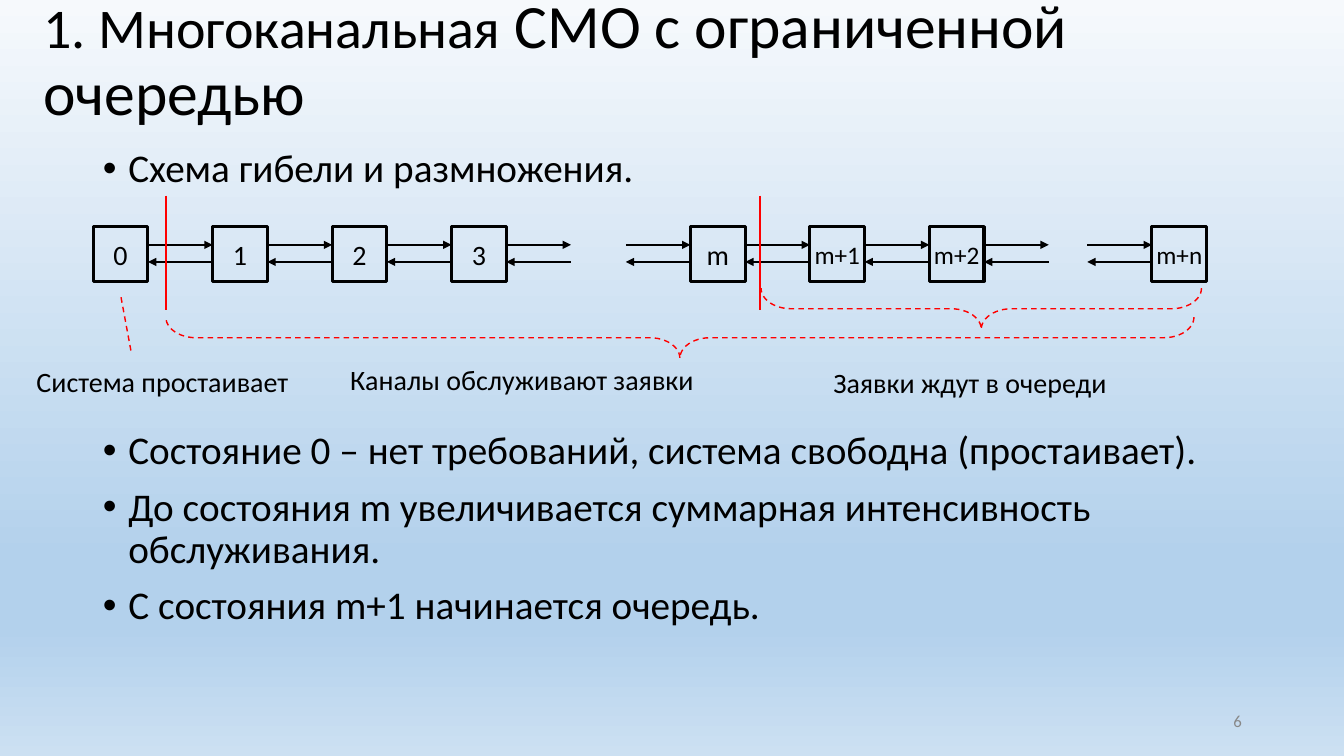
from lxml import etree
from pptx import Presentation
from pptx.dml.color import RGBColor
from pptx.enum import dml, shapes, text
from pptx.oxml.ns import qn
from pptx.util import Cm, Pt

COLORS = {"ink": "000000", "mark": "FF0000", "number": "888888"}
SKY = [(0, "F6F9FC"), (74, "B3D1EC"), (83, "B3D1EC"), (100, "CCE0F2")]
FONT = "Calibri"

# Lengths in centimetres
SIDE, STEP, FIRST, LAST = 1.38, 3.01, 2.35, 29.03
BOX_TOP, BIRTH_Y, DEATH_Y = 5.71, 6.17, 6.6
BRACE_DEPTH = 1.04
STATES = ["0", "1", "2", "3", "m", "m+1", "m+2", "m+n"]
LEFTS = [FIRST + STEP * slot for slot in (0, 1, 2, 3, 5, 6, 7)] + [LAST]

BULLETS = [
    ("Схема гибели и размножения.", 0),
    ("Состояние 0 – нет требований, система свободна (простаивает).", 171),
    ("До состояния m увеличивается суммарная интенсивность обслуживания.", 10),
    ("С состояния m+1 начинается очередь.", 10),
]
CAPTIONS = [
    ("Система простаивает", 0.35, 9.04, 7.49),
    ("Каналы обслуживают заявки", 8.43, 8.99, 9.45),
    ("Заявки ждут в очереди", 20.7, 9.07, 7.49),
]


def color(name):
    return RGBColor.from_string(COLORS[name])


def apply(target, formats):
    for name, value in formats.items():
        setattr(target, name, value)


def place(shape, left, top, width, height):
    apply(shape, {"left": Cm(left), "top": Cm(top),
                  "width": Cm(width), "height": Cm(height)})


def add_span(para, words, size, ink="ink"):
    span = para.add_run()
    span.text = words
    apply(span.font, {"name": FONT, "size": Pt(size)})
    span.font.color.rgb = color(ink)


def style_line(shape, ink, width, dashed=False):
    shape.line.color.rgb = color(ink)
    shape.line.width = Pt(width)
    if dashed:
        shape.line.dash_style = dml.MSO_LINE.DASH


def paint_background(page):
    fill = page.background.fill
    fill.gradient()
    fill.gradient_angle = 270
    stops = page.background._cSld.find(".//" + qn("a:gsLst"))
    for stop in list(stops):
        stops.remove(stop)
    for percent, shade in SKY:
        stop = etree.SubElement(stops, qn("a:gs"), pos=str(percent * 1000))
        etree.SubElement(stop, qn("a:srgbClr"), val=shade)


def fill_title(title):
    place(title, 0.84, -0.28, 33.22, 3.68)
    apply(title.text_frame, {"word_wrap": True, "auto_size": text.MSO_AUTO_SIZE.NONE,
                             "vertical_anchor": text.MSO_ANCHOR.MIDDLE})
    para = title.text_frame.paragraphs[0]
    apply(para, {"alignment": text.PP_ALIGN.LEFT, "line_spacing": 0.9})
    add_span(para, "1. Многоканальная", 40)
    add_span(para, " СМО с ограниченной очередью", 44)


def fill_body(body):
    """Fill the list, leaving room for the diagram under its first item."""
    place(body, 2.34, 3.63, 29.21, 14.05)
    frame = body.text_frame
    frame.auto_size = text.MSO_AUTO_SIZE.NONE
    for index, (words, gap) in enumerate(BULLETS):
        para = frame.add_paragraph() if index else frame.paragraphs[0]
        props = para._p.get_or_add_pPr()
        props.set("marL", str(Cm(0.64)))
        props.set("indent", str(-Cm(0.64)))
        etree.SubElement(props, qn("a:buFont"), typeface="Arial")
        etree.SubElement(props, qn("a:buChar"), char="•")
        apply(para, {"line_spacing": 0.9, "space_before": Pt(gap)})
        add_span(para, words, 28)


def add_label(page, words, left, top, width, height, size=20,
              align=text.PP_ALIGN.CENTER, ink="ink"):
    box = page.shapes.add_textbox(Cm(left), Cm(top), Cm(width), Cm(height))
    apply(box.text_frame, {"word_wrap": True, "vertical_anchor": text.MSO_ANCHOR.MIDDLE})
    para = box.text_frame.paragraphs[0]
    para.alignment = align
    add_span(para, words, size, ink)


def add_outline(page, kind, left, top, width, height):
    shape = page.shapes.add_shape(kind, Cm(left), Cm(top), Cm(width), Cm(height))
    shape.shadow.inherit = False
    shape.fill.background()
    return shape


def add_state(page, name, left):
    box = add_outline(page, shapes.MSO_SHAPE.RECTANGLE, left, BOX_TOP, SIDE, SIDE)
    style_line(box, "ink", 2.25)
    apply(box.text_frame, {"margin_left": 0, "margin_right": 0, "word_wrap": False,
                           "vertical_anchor": text.MSO_ANCHOR.MIDDLE})
    para = box.text_frame.paragraphs[0]
    para.alignment = text.PP_ALIGN.CENTER
    add_span(para, name, 20 if len(name) == 1 else 18)


def add_line(page, x1, y1, x2, y2, ink, width, dashed=False, arrow=False):
    line = page.shapes.add_connector(shapes.MSO_CONNECTOR.STRAIGHT,
                                     Cm(x1), Cm(y1), Cm(x2), Cm(y2))
    style_line(line, ink, width, dashed)
    if arrow:
        etree.SubElement(line.line._get_or_add_ln(), qn("a:tailEnd"), type="triangle")
    etree.SubElement(line._element.spPr, qn("a:effectLst"))


def add_transitions(page, left):
    """Draw the arrows to the next state and back, from the given left end."""
    right = left + STEP - SIDE
    add_line(page, left, BIRTH_Y, right, BIRTH_Y, "ink", 1, arrow=True)
    add_line(page, right, DEATH_Y, left, DEATH_Y, "ink", 1, arrow=True)


def add_brace(page, left, top, span):
    """Draw a brace pointing down; left, top and span are as seen after rotation."""
    shift = (span - BRACE_DEPTH) / 2
    brace = add_outline(page, shapes.MSO_SHAPE.LEFT_BRACE,
                        left + shift, top - shift, BRACE_DEPTH, span)
    brace.rotation = 270
    brace.adjustments[0] = 0.73
    style_line(brace, "mark", 1, dashed=True)


def main():
    deck = Presentation()
    apply(deck, {"slide_width": Cm(33.87), "slide_height": Cm(19.05)})
    page = deck.slides.add_slide(deck.slide_layouts[1])
    paint_background(page)
    fill_title(page.shapes.title)
    fill_body(page.placeholders[1])
    add_label(page, "6", 23.93, 17.65, 7.62, 1.02, 12, text.PP_ALIGN.RIGHT, "number")

    for name, left in zip(STATES, LEFTS):
        add_state(page, name, left)
        if name != "m+n":
            add_transitions(page, left + SIDE)
        if name in ("m", "m+n"):
            add_transitions(page, left - STEP + SIDE)

    for x in (4.19, 19.15):
        add_line(page, x, 4.93, x, 7.8, "mark", 1.5)
    add_line(page, 3.05, 7.49, 3.3, 8.84, "mark", 1, dashed=True)
    for words, left, top, width in CAPTIONS:
        add_label(page, words, left, top, width, 1.12)
    add_brace(page, 4.18, 7.99, 25.91)
    add_brace(page, 19.18, 7.26, 11.1)
    deck.save("out.pptx")


if __name__ == "__main__":
    main()
